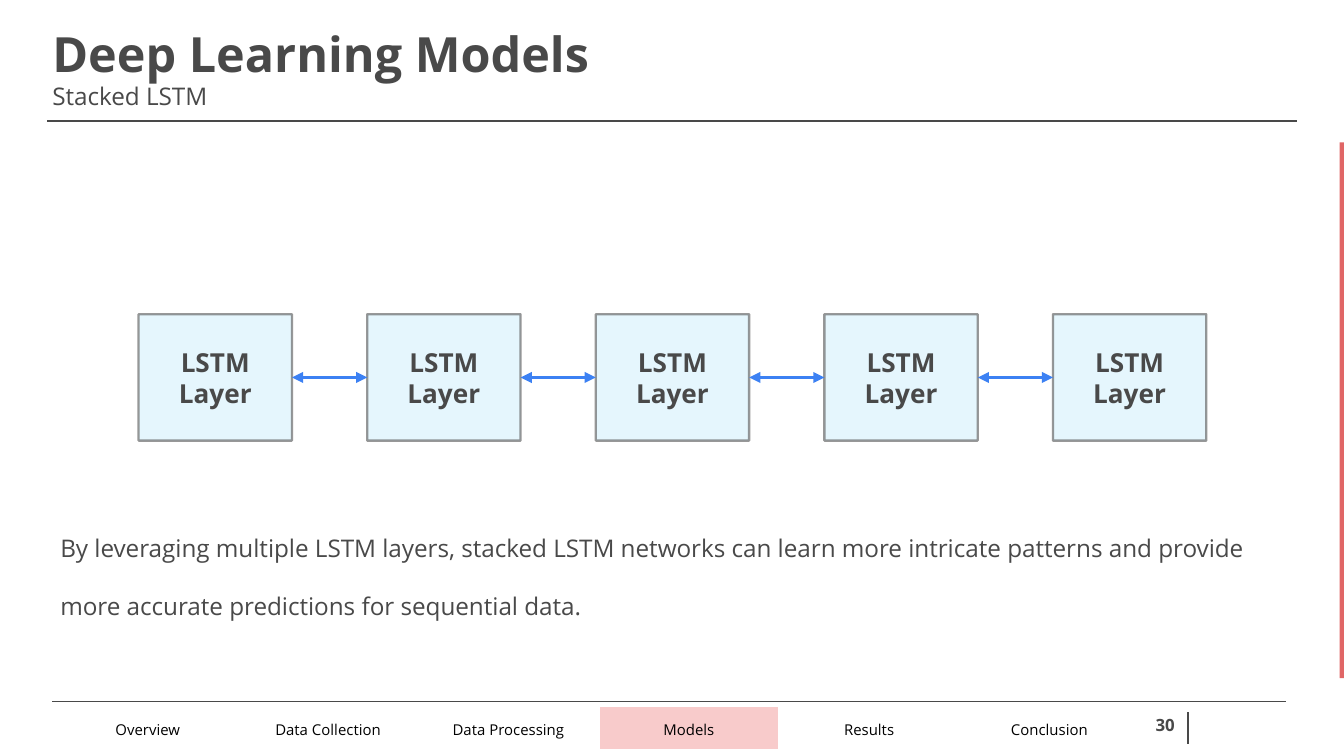
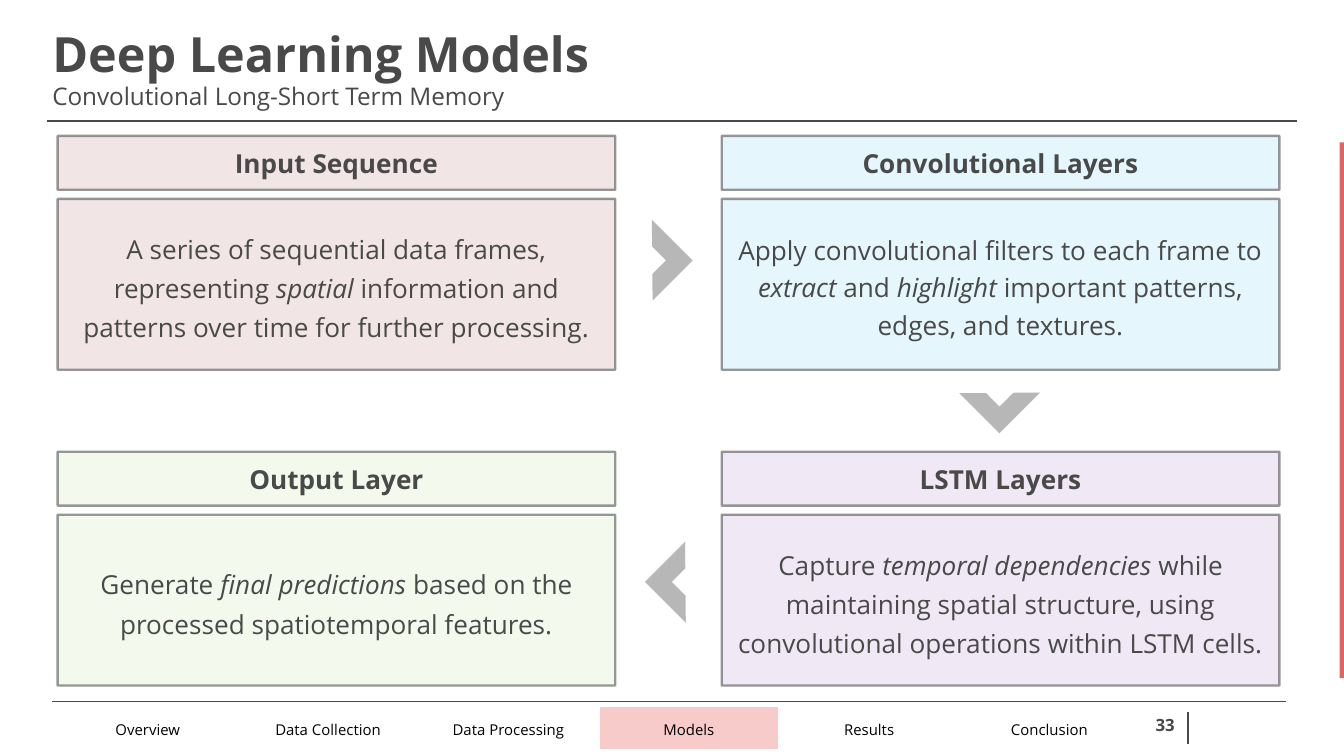
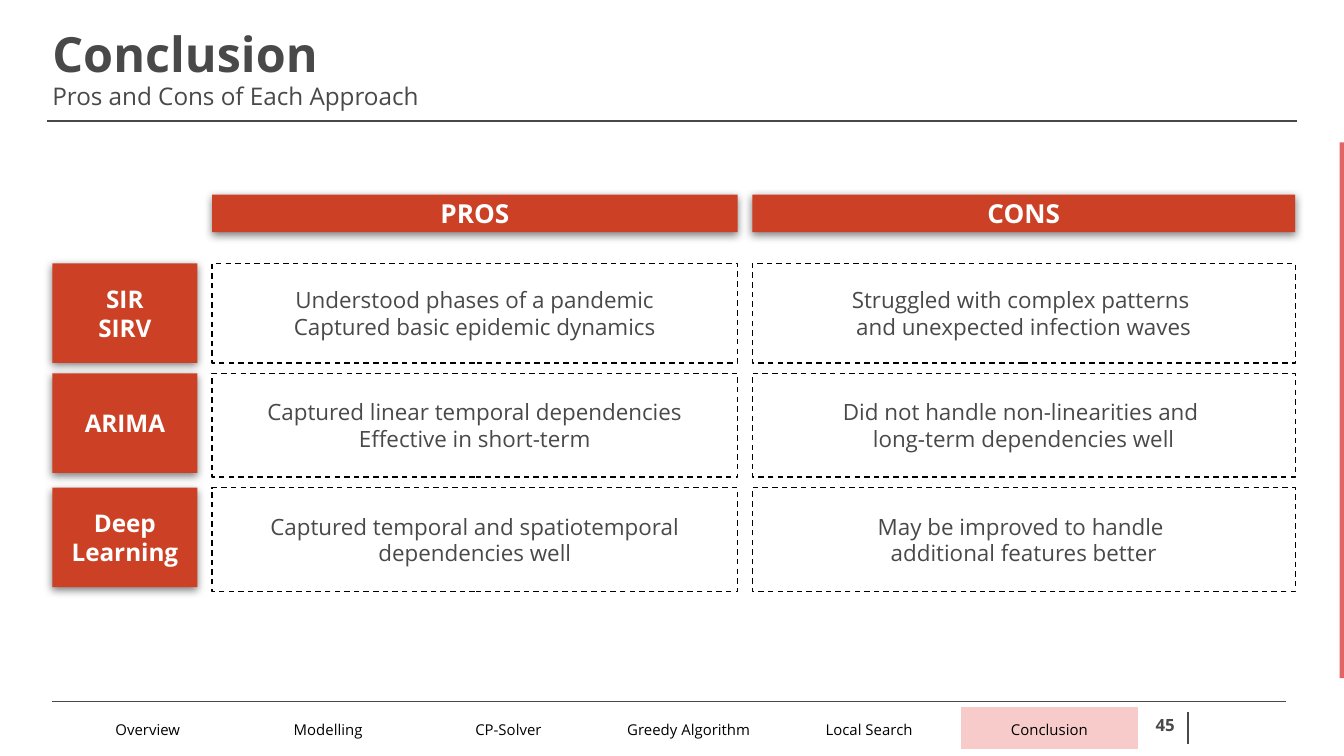
import copy
from dataclasses import dataclass

from lxml import etree
from pptx import Presentation
from pptx import util as u
from pptx.dml.color import RGBColor
from pptx.enum import dml, shapes, text
from pptx.oxml import ns

Cm, Pt = u.Cm, u.Pt


@dataclass(frozen=True)
class Theme:
    font: str = "Open Sans"
    ink: str = "494949"
    black: str = "000000"
    white: str = "FFFFFF"
    side_bar: str = "E06666"
    active_tab: str = "F8CBCB"
    outline: str = "595959"
    arrow: str = "3C81F3"
    chevron: str = "B7B7B7"
    label: str = "CC4125"
    blue: str = "00B0F0"
    maroon: str = "820000"
    green: str = "92D050"
    purple: str = "7030A0"
    title_size: float = 26
    heading_size: float = 14
    text_size: float = 13
    cell_size: float = 12
    number_size: float = 9
    tab_size: float = 8
    fill_alpha: int = 10
    outline_alpha: int = 61


THEME = Theme()
PAGE_WIDTH, PAGE_HEIGHT = 25.4, 14.29
EVEN_INSETS = (0.25, 0.25)

# Content: *...* marks italics, a line break stays inside its paragraph
MODEL_TABS = ["Overview", "Data Collection", "Data Processing", "Models", "Results", "Conclusion"]
SOLVER_TABS = ["Overview", "Modelling", "CP-Solver", "Greedy Algorithm", "Local Search", "Conclusion"]

LAYER_COUNT = 5
LAYER_TEXT = ["LSTM", "Layer"]
STACK_NOTE = ("By leveraging multiple LSTM layers, stacked LSTM networks can learn more "
              "intricate patterns and provide more accurate predictions for sequential data.")

# (column, row, colour, heading, description, line spacing)
STAGES = [
    (0, 0, THEME.maroon, "Input Sequence",
     "A series of sequential data frames, representing *spatial* information and "
     "patterns over time for further processing.", 1.25),
    (1, 0, THEME.blue, "Convolutional Layers",
     "Apply convolutional filters to each frame to *extract* and *highlight* "
     "important patterns, edges, and textures.", 1.2),
    (0, 1, THEME.green, "Output Layer",
     "Generate *final predictions *based on the processed spatiotemporal features.", 1.25),
    (1, 1, THEME.purple, "LSTM Layers",
     "Capture *temporal dependencies *while maintaining spatial structure, using "
     "convolutional operations within LSTM cells.", 1.25),
]
# (left, top, rotation)
CHEVRONS = [(12.42, 10.46, 315), (18.36, 6.88, 225), (11.79, 4.37, 135)]

# (name, pros, cons, top, cell height)
APPROACHES = [
    (["SIR", "SIRV"],
     ["Understood phases of a pandemic", "Captured basic epidemic dynamics"],
     ["Struggled with complex patterns \nand unexpected infection waves"], 4.98, 1.88),
    (["ARIMA"],
     ["Captured linear temporal dependencies\nEffective in short-term"],
     ["Did not handle non-linearities and \nlong-term dependencies well"], 7.06, 1.96),
    (["Deep\nLearning"],
     ["Captured temporal and spatiotemporal dependencies well"],
     ["May be improved to handle \nadditional features better"], 9.22, 1.96),
]
# (left, width) of the name, pros and cons columns
NAME_COLUMN, PROS_COLUMN, CONS_COLUMN = (0.99, 2.74), (4.01, 9.93), (14.22, 10.26)


def rgb(value):
    return RGBColor.from_string(value)


def add_xml(parent, tag, **attributes):
    return etree.SubElement(parent, ns.qn(tag), {key: str(val) for key, val in attributes.items()})


# Text
def write(frame, paragraphs, size=THEME.text_size, color=THEME.ink, bold=False, align="LEFT",
          spacing=None, anchor="TOP", insets=(0.25, 0.13), append=False):
    frame.word_wrap = True
    frame.vertical_anchor = getattr(text.MSO_ANCHOR, anchor)
    frame.margin_left = frame.margin_right = Cm(insets[0])
    frame.margin_top = frame.margin_bottom = Cm(insets[1])
    for index, content in enumerate(paragraphs):
        para = frame.add_paragraph() if index or append else frame.paragraphs[0]
        para.alignment = getattr(text.PP_ALIGN, align)
        if spacing:
            para.line_spacing = spacing
        for part, piece in enumerate(content.split("*")):
            for row, words in enumerate(piece.split("\n")):
                if row:
                    para.add_line_break()
                    para._p[-1].append(copy.deepcopy(span._r.rPr))
                span = para.add_run()
                span.text = words
                span.font.name, span.font.size = THEME.font, Pt(size)
                span.font.bold, span.font.italic = bold, part % 2 == 1
                span.font.color.rgb = rgb(color)


def add_text(page, area, paragraphs, **style):
    box = page.shapes.add_textbox(*map(Cm, area))
    write(box.text_frame, paragraphs, **style)
    return box


# Shapes and lines
def add_box(page, area, fill=None, line=None, width=0.75, dashed=False, kind="RECTANGLE"):
    box = page.shapes.add_shape(getattr(shapes.MSO_SHAPE, kind), *map(Cm, area))
    box.shadow.inherit = False
    if fill:
        box.fill.solid()
        box.fill.fore_color.rgb = rgb(fill)
    else:
        box.fill.background()
    if line:
        box.line.color.rgb = rgb(line)
        box.line.width = Pt(width)
        if dashed:
            box.line.dash_style = dml.MSO_LINE.DASH
    else:
        box.line.fill.background()
    return box


def add_tinted_box(page, area, fill, paragraphs, **style):
    box = add_box(page, area, fill, THEME.outline, 1.25)
    colors = box._element.spPr.iter(ns.qn("a:srgbClr"))
    for color, alpha in zip(list(colors), (THEME.fill_alpha, THEME.outline_alpha)):
        add_xml(color, "a:alpha", val=alpha * 1000)
    write(box.text_frame, paragraphs, size=THEME.heading_size, align="CENTER",
          anchor="MIDDLE", **style)


def add_label(page, area, paragraphs, size):
    box = add_box(page, area, THEME.label)
    effects = box._element.spPr.find(ns.qn("a:effectLst"))
    shadow = add_xml(effects, "a:outerShdw", blurRad=Pt(4.5), dist=Pt(1.5), dir=90 * 60000,
                     algn="bl", rotWithShape=0)
    add_xml(add_xml(shadow, "a:srgbClr", val=THEME.black), "a:alpha", val=50000)
    write(box.text_frame, paragraphs, size=size, color=THEME.white, bold=True,
          align="CENTER", anchor="MIDDLE", insets=EVEN_INSETS)


def add_line(page, ends, color=THEME.ink, width=0.75, arrows=False):
    line = page.shapes.add_connector(shapes.MSO_CONNECTOR.STRAIGHT, *map(Cm, ends))
    line.line.color.rgb = rgb(color)
    line.line.width = Pt(width)
    if arrows:
        for tag in ("a:headEnd", "a:tailEnd"):
            add_xml(line.line._get_or_add_ln(), tag, type="triangle")
    add_xml(line._element.spPr, "a:effectLst")


# Shared parts
def add_tabs(page, tabs, active):
    frame = page.shapes.add_table(1, len(tabs), Cm(1.09), Cm(13.34), Cm(20.45), Cm(0.84))
    table = frame.table
    table.first_row = table.horz_banding = False
    for index, name in enumerate(tabs):
        cell = table.cell(0, index)
        write(cell.text_frame, [name], size=THEME.tab_size, color=THEME.black, align="CENTER")
        cell.vertical_anchor = text.MSO_ANCHOR.MIDDLE
        cell.margin_left = cell.margin_right = cell.margin_top = cell.margin_bottom = Cm(0.25)
        properties = cell._tc.get_or_add_tcPr()
        for side in "LRTB":
            border = add_xml(properties, f"a:ln{side}", w=Pt(1.5))
            add_xml(add_xml(border, "a:solidFill"), "a:srgbClr", val=THEME.white)
        cell.fill.solid()
        cell.fill.fore_color.rgb = rgb(THEME.active_tab if name == active else THEME.white)


def add_page(deck, title, subtitle, number, tabs, active):
    page = deck.slides.add_slide(deck.slide_layouts[6])
    add_box(page, (25.32, 2.69, 0.08, 10.13), THEME.side_bar)
    for ends in ((0.99, 13.26, 24.31, 13.26), (22.45, 13.46, 22.45, 14.07),
                 (0.89, 2.29, 24.51, 2.29)):
        add_line(page, ends)
    add_text(page, (21.54, 13.31, 0.91, 0.89), [str(number)], size=THEME.number_size,
             bold=True, align="RIGHT", insets=EVEN_INSETS)
    heading = add_text(page, (0.74, 0.03, 23.62, 2.03), [title], size=THEME.title_size,
                       bold=True, spacing=1.15, insets=EVEN_INSETS)
    write(heading.text_frame, [subtitle], insets=EVEN_INSETS, append=True)
    add_tabs(page, tabs, active)
    return page


# Slides
def add_stacked_lstm(deck):
    page = add_page(deck, "Deep Learning Models", "Stacked LSTM", 30, MODEL_TABS, "Models")
    left, top, width, height, pitch = 2.62, 5.94, 2.9, 2.39, 4.32
    for index in range(LAYER_COUNT):
        start = left + index * pitch
        add_tinted_box(page, (start, top, width, height), THEME.blue, LAYER_TEXT, bold=True)
        if index:
            middle = top + height / 2
            add_line(page, (start - pitch + width, middle, start, middle),
                     THEME.arrow, 1.5, arrows=True)
    add_text(page, (0.89, 9.4, 23.27, 2.31), [STACK_NOTE], spacing=2.0)


def add_convolutional_lstm(deck):
    page = add_page(deck, "Deep Learning Models", "Convolutional Long-Short Term Memory", 33,
                    MODEL_TABS, "Models")
    for left, top, rotation in CHEVRONS:
        chevron = add_box(page, (left, top, 1.07, 1.09), THEME.chevron, kind="HALF_FRAME")
        chevron.rotation = rotation
        chevron.adjustments[0] = chevron.adjustments[1] = 0.333
    for column, row, color, heading, description, spacing in STAGES:
        left, top, width = 1.09 + column * 12.55, 2.57 + row * 5.97, 10.54
        add_tinted_box(page, (left, top, width, 1.02), color, [heading], bold=True)
        add_tinted_box(page, (left, top + 1.19, width, 3.23), color, [description],
                       spacing=spacing)


def add_pros_and_cons(deck):
    page = add_page(deck, "Conclusion", "Pros and Cons of Each Approach", 45,
                    SOLVER_TABS, "Conclusion")
    for (left, width), name in ((PROS_COLUMN, "PROS"), (CONS_COLUMN, "CONS")):
        add_label(page, (left, 3.68, width, 0.71), [name], THEME.heading_size)
    for name, pros, cons, top, height in APPROACHES:
        left, width = NAME_COLUMN
        add_label(page, (left, top, width, 1.88), name, THEME.text_size)
        for (left, width), points in ((PROS_COLUMN, pros), (CONS_COLUMN, cons)):
            cell = add_box(page, (left, top, width, height), line=THEME.black, dashed=True)
            write(cell.text_frame, points, size=THEME.cell_size, align="CENTER",
                  anchor="MIDDLE", insets=EVEN_INSETS)


def main():
    deck = Presentation()
    deck.slide_width, deck.slide_height = Cm(PAGE_WIDTH), Cm(PAGE_HEIGHT)
    add_stacked_lstm(deck)
    add_convolutional_lstm(deck)
    add_pros_and_cons(deck)
    deck.save("out.pptx")


if __name__ == "__main__":
    main()
